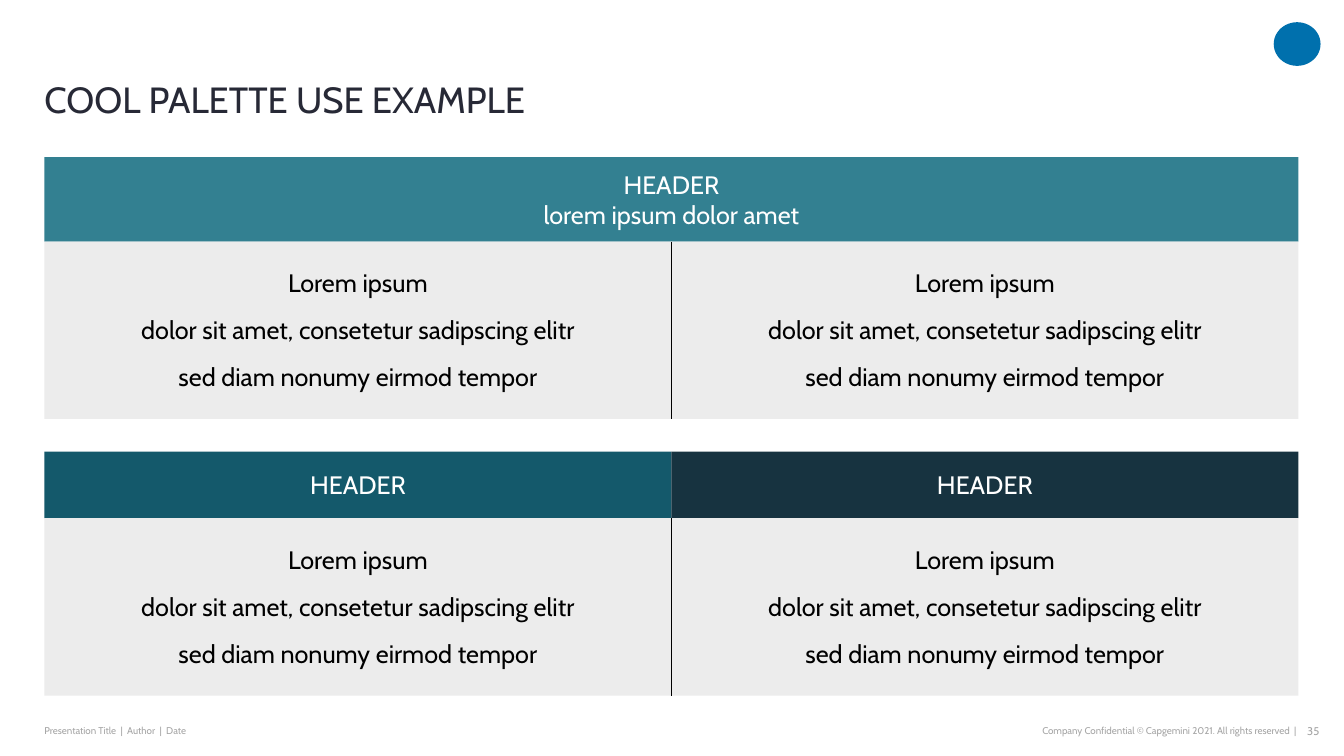
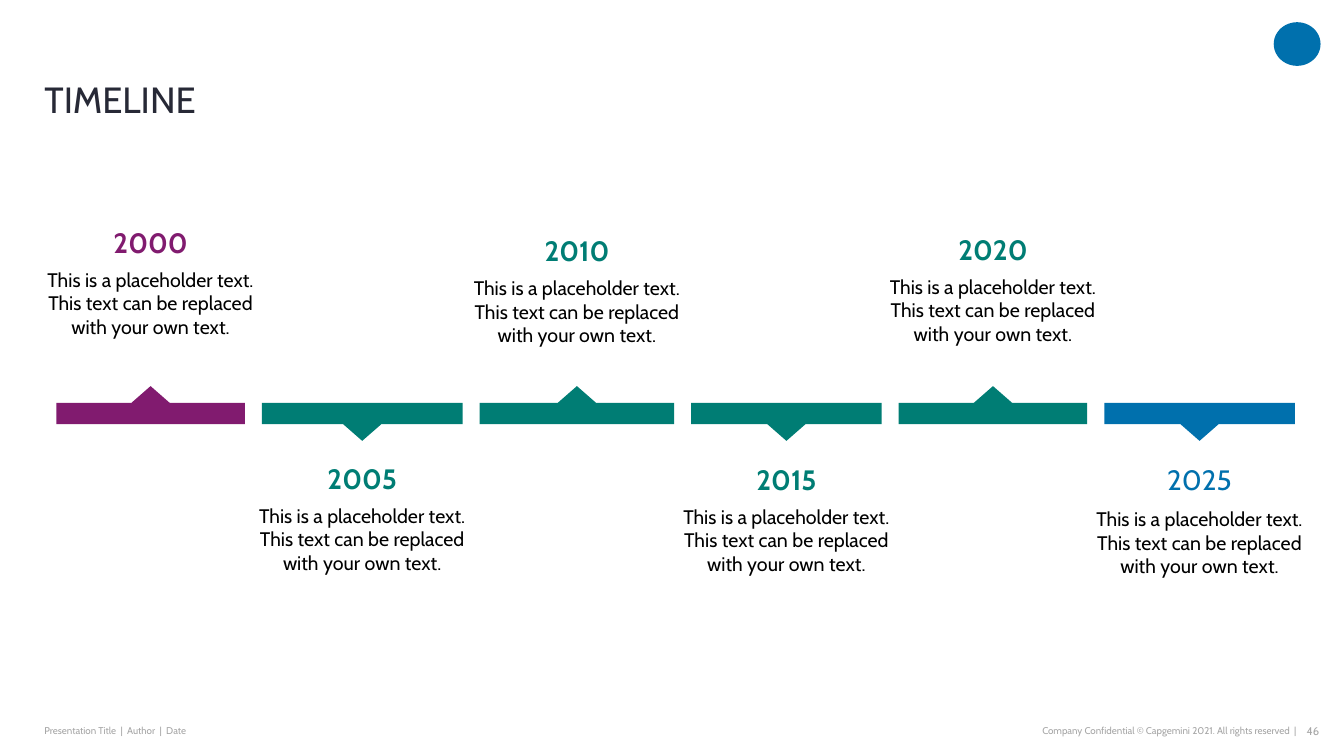
from lxml.etree import SubElement
from pptx import Presentation
from pptx.dml.color import RGBColor
from pptx.enum.shapes import MSO_CONNECTOR, MSO_SHAPE
from pptx.enum.text import MSO_ANCHOR, PP_ALIGN
from pptx.oxml.ns import qn
from pptx.util import Cm, Pt

FONT = "Cabin"
INK = "272936"
BLACK = "000000"
WHITE = "FFFFFF"
FOOTER_GREY = "A6A6A6"
PANEL_GREY = "ECECEC"
BLUE = "0070AD"
TEAL = "338091"
PETROL = "14596B"
NAVY = "173340"
PLUM = "811B6F"
GREEN = "007D74"

SLIDE_WIDTH, SLIDE_HEIGHT = 33.87, 19.05
MARGIN = 1.12
CONTENT_WIDTH = 31.6
FOOTER_TOP, FOOTER_HEIGHT = 18.11, 0.61

PANEL_LINES = [
    "Lorem ipsum",
    "dolor sit amet, consetetur sadipscing elitr",
    "sed diam nonumy eirmod tempor",
]
MILESTONE_TEXT = "This is a placeholder text. This text can be replaced with your own text."


def colour(value):
    return RGBColor.from_string(value)


def paint(shape, fill):
    shape.shadow.inherit = False
    shape.fill.solid()
    shape.fill.fore_color.rgb = colour(fill)
    shape.line.fill.background()


def add_run(paragraph, text, size, ink, bold=False):
    run = paragraph.add_run()
    run.text = text
    run.font.name = FONT
    run.font.size = Pt(size)
    run.font.bold = bold
    run.font.color.rgb = colour(ink)


def add_paragraph(frame, first, align, space_after=0):
    paragraph = frame.paragraphs[0] if first else frame.add_paragraph()
    paragraph.alignment = align
    paragraph.space_after = Pt(space_after)
    return paragraph


def add_text_box(slide, left, top, width, height, anchor=MSO_ANCHOR.TOP, inset=True):
    box = slide.shapes.add_textbox(Cm(left), Cm(top), Cm(width), Cm(height))
    frame = box.text_frame
    frame.word_wrap = True
    frame.vertical_anchor = anchor
    if not inset:
        frame.margin_left = frame.margin_right = 0
        frame.margin_top = frame.margin_bottom = 0
    return frame


def add_label(slide, left, top, width, height, text, size, ink,
              align=PP_ALIGN.LEFT, anchor=MSO_ANCHOR.MIDDLE):
    frame = add_text_box(slide, left, top, width, height, anchor, inset=False)
    paragraph = add_paragraph(frame, True, align)
    add_run(paragraph, text, size, ink)
    return paragraph


def add_rectangle(slide, left, top, width, height, fill):
    shape = slide.shapes.add_shape(
        MSO_SHAPE.RECTANGLE, Cm(left), Cm(top), Cm(width), Cm(height))
    paint(shape, fill)
    return shape


def add_divider(slide, x, top, height):
    line = slide.shapes.add_connector(
        MSO_CONNECTOR.STRAIGHT, Cm(x), Cm(top), Cm(x), Cm(top + height))
    line.line.color.rgb = colour(BLACK)
    line.line.width = Pt(1)
    SubElement(line._element.spPr, qn("a:effectLst"))


def add_base_slide(presentation, title, number):
    slide = presentation.slides.add_slide(presentation.slide_layouts[6])
    emblem = slide.shapes.add_shape(
        MSO_SHAPE.OVAL, Cm(32.1), Cm(0.56), Cm(1.18), Cm(1.1))
    paint(emblem, BLUE)
    heading = add_label(slide, MARGIN, 1.07, 30.4, 1.98, title, 26, INK,
                        anchor=MSO_ANCHOR.BOTTOM)
    heading.line_spacing = 0.9
    footers = [
        (MARGIN, 9.47, "Presentation Title  |  Author  |  Date", 7, PP_ALIGN.LEFT),
        (20.07, 12.6, "Company Confidential © Capgemini 2021. All rights reserved  |",
         7, PP_ALIGN.RIGHT),
        (32.61, 0.64, number, 8, PP_ALIGN.RIGHT),
    ]
    for left, width, text, size, align in footers:
        add_label(slide, left, FOOTER_TOP, width, FOOTER_HEIGHT, text, size,
                  FOOTER_GREY, align)
    return slide


def add_header(slide, left, top, width, height, fill, lines):
    header = add_rectangle(slide, left, top, width, height, fill)
    frame = header.text_frame
    frame.vertical_anchor = MSO_ANCHOR.MIDDLE
    paragraph = add_paragraph(frame, True, PP_ALIGN.CENTER)
    for index, line in enumerate(lines):
        if index:
            paragraph.add_line_break()
        add_run(paragraph, line, 18, WHITE)


def add_panel(slide, left, top, width, header_height, body_height, headers):
    header_width = width / len(headers)
    for index, (fill, lines) in enumerate(headers):
        add_header(slide, left + index * header_width, top, header_width,
                   header_height, fill, lines)
    body_top = top + header_height
    add_rectangle(slide, left, body_top, width, body_height, PANEL_GREY)
    half = width / 2
    for column in range(2):
        frame = add_text_box(slide, left + column * half, body_top + 0.53,
                             half, body_height - 1.04)
        for index, line in enumerate(PANEL_LINES):
            paragraph = add_paragraph(frame, index == 0, PP_ALIGN.CENTER, 12)
            add_run(paragraph, line, 18, BLACK)
    add_divider(slide, left + half, body_top, body_height)


def add_palette_slide(presentation):
    slide = add_base_slide(presentation, "COOL PALETTE USE EXAMPLE", "35")
    add_panel(slide, MARGIN, 3.96, CONTENT_WIDTH, 2.13, 4.47,
              [(TEAL, ["HEADER", "lorem ipsum dolor amet"])])
    add_panel(slide, MARGIN, 11.38, CONTENT_WIDTH, 1.68, 4.47,
              [(PETROL, ["HEADER"]), (NAVY, ["HEADER"])])


def add_pointer_bar(slide, left, top, width, height, fill, points_up):
    tip_half, tip_height = 0.48, 0.42
    middle = left + width / 2
    near, far = (top, top + height) if points_up else (top + height, top)
    tip = near - tip_height if points_up else near + tip_height
    outline = [
        (left, far), (left, near), (middle - tip_half, near), (middle, tip),
        (middle + tip_half, near), (left + width, near), (left + width, far),
    ]
    points = [(Cm(x), Cm(y)) for x, y in outline]
    builder = slide.shapes.build_freeform(*points[0])
    builder.add_line_segments(points[1:], close=True)
    paint(builder.convert_to_shape(), fill)


def add_milestone(slide, center, top, year, ink, bold):
    width = 6.3
    frame = add_text_box(slide, center - width / 2, top, width, 4.5)
    heading = add_paragraph(frame, True, PP_ALIGN.CENTER, 6 if bold else 8)
    add_run(heading, year, 20, ink, bold)
    body = add_paragraph(frame, False, PP_ALIGN.CENTER, 8)
    add_run(body, MILESTONE_TEXT, 14, BLACK)


def add_timeline_slide(presentation):
    slide = add_base_slide(presentation, "TIMELINE", "46")
    milestones = [
        ("2000", 4.75, 5.56, PLUM, True),
        ("2005", 5.06, 11.51, GREEN, True),
        ("2010", 4.9, 5.77, GREEN, True),
        ("2015", 4.8, 11.53, GREEN, True),
        ("2020", 4.75, 5.74, GREEN, True),
        ("2025", 4.8, 11.53, BLUE, False),
    ]
    left, gap = 1.42, 0.43
    for index, (year, width, text_top, ink, bold) in enumerate(milestones):
        add_milestone(slide, left + width / 2, text_top, year, ink, bold)
        add_pointer_bar(slide, left, 10.15, width, 0.54, ink, index % 2 == 0)
        left += width + gap


def main():
    presentation = Presentation()
    presentation.slide_width = Cm(SLIDE_WIDTH)
    presentation.slide_height = Cm(SLIDE_HEIGHT)
    add_palette_slide(presentation)
    add_timeline_slide(presentation)
    presentation.save("out.pptx")


if __name__ == "__main__":
    main()
